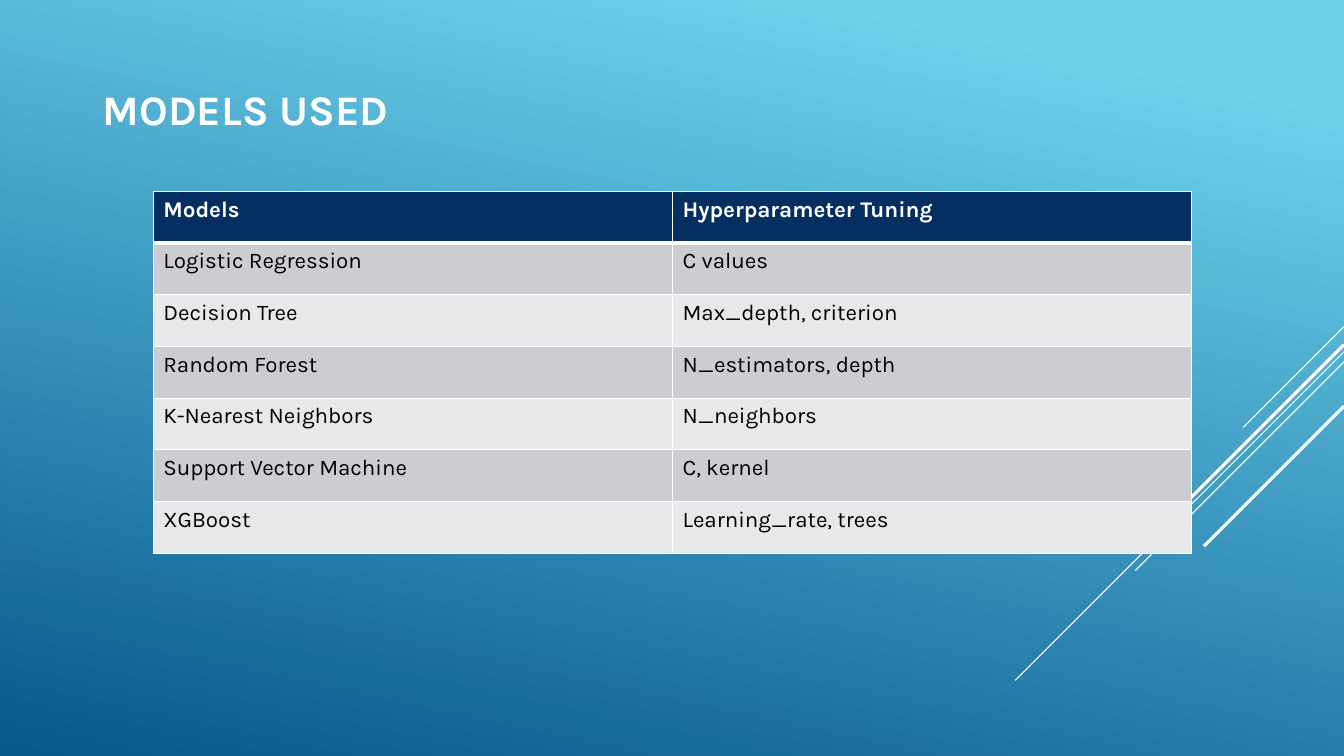
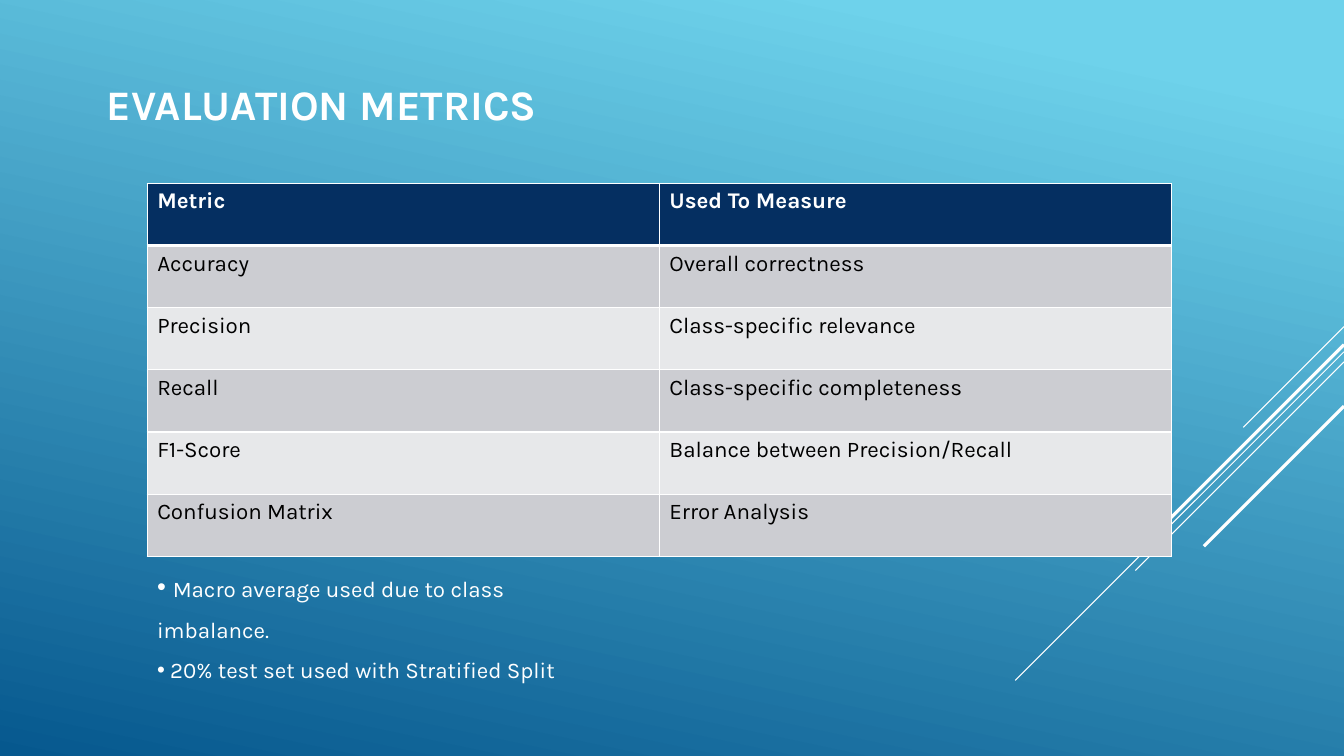
from lxml import etree
from pptx import Presentation
from pptx.dml.color import RGBColor
from pptx.enum import shapes, text
from pptx.oxml import ns
from pptx.util import Inches, Pt

FONT = "Karla"
WHITE, BLACK = "FFFFFF", "000000"
SKY, OCEAN, NAVY = "6ED2EB", "06588E", "052F61"
ROW_FILLS = ("CCCDD2", "E7E8EA")
TITLE = {"name": FONT, "size": Pt(30), "bold": True, "color": WHITE}
HEADER = {"name": FONT, "size": Pt(16), "bold": True, "color": WHITE}
BODY = {"name": FONT, "size": Pt(16), "bold": False, "color": BLACK}
NOTE = {**BODY, "color": WHITE}
NOTE_LEAD = {**NOTE, "name": "Arial", "size": Pt(18)}

SLIDE_WIDTH = 13.33
# Diagonal rays from the right edge: start height, run to the lower left, width in points
RAYS = [(3.24, 1.0, 0.75), (3.49, 3.26, 0.75), (3.59, 2.07, 0.75),
        (3.42, 1.91, 2.25), (4.03, 1.39, 2.25)]

MODELS = [("Models", "Hyperparameter Tuning"),
          ("Logistic Regression", "C values"),
          ("Decision Tree", "Max_depth, criterion"),
          ("Random Forest", "N_estimators, depth"),
          ("K-Nearest Neighbors", "N_neighbors"),
          ("Support Vector Machine", "C, kernel"),
          ("XGBoost", "Learning_rate, trees")]
METRICS = [("Metric", "Used To Measure"),
           ("Accuracy", "Overall correctness"),
           ("Precision", "Class-specific relevance"),
           ("Recall", "Class-specific completeness"),
           ("F1-Score", "Balance between Precision/Recall"),
           ("Confusion Matrix", "Error Analysis")]
NOTES = [[(" ", NOTE_LEAD), ("Macro average used due to class imbalance.", NOTE)],
         [(" 20% test set used with Stratified Split", NOTE)]]


def rgb(value):
    return RGBColor.from_string(value)


def child(parent, tag, **attributes):
    return etree.SubElement(parent, ns.qn(tag), attributes)


def add_run(paragraph, words, style):
    run = paragraph.add_run()
    run.text = words
    for key, value in style.items():
        if key == "color":
            run.font.color.rgb = rgb(value)
        else:
            setattr(run.font, key, value)


def paint_background(master):
    fill = master.background.fill
    fill.gradient()
    fill.gradient_angle = 258
    for stop, position, color in zip(fill.gradient_stops, (0.1, 1), (SKY, OCEAN)):
        stop.position = position
        stop.color.rgb = rgb(color)


def add_rays(slide):
    for top, run, width in RAYS:
        ray = slide.shapes.add_connector(
            shapes.MSO_CONNECTOR.STRAIGHT, Inches(SLIDE_WIDTH), Inches(top),
            Inches(SLIDE_WIDTH - run), Inches(top + run))
        ray.line.color.rgb = rgb(WHITE)
        ray.line.width = Pt(width)
        child(ray._element.spPr, "a:effectLst")


def add_text_frame(slide, box):
    frame = slide.shapes.add_textbox(*map(Inches, box)).text_frame
    frame.word_wrap = True
    frame.vertical_anchor = text.MSO_ANCHOR.MIDDLE
    return frame


def add_titled_slide(deck, title, box):
    slide = deck.slides.add_slide(deck.slide_layouts[6])
    add_rays(slide)
    add_run(add_text_frame(slide, box).paragraphs[0], title, TITLE)
    return slide


def set_borders(cell, **widths):
    """Draw white cell borders; widths in points are keyed by side L, R, T, B."""
    properties = cell._tc.get_or_add_tcPr()
    for side, width in widths.items():
        border = child(properties, f"a:ln{side}", w=str(Pt(width)))
        child(child(border, "a:solidFill"), "a:srgbClr", val=WHITE)


def add_grid(slide, rows, box):
    grid = slide.shapes.add_table(len(rows), len(rows[0]), *map(Inches, box)).table
    for r, row in enumerate(rows):
        for c, words in enumerate(row):
            cell = grid.cell(r, c)
            # The rule under the header is heavier than the others
            set_borders(cell, L=1, R=1, T=3 if r == 1 else 1, B=3 if r == 0 else 1)
            cell.fill.solid()
            cell.fill.fore_color.rgb = rgb(ROW_FILLS[(r - 1) % 2] if r else NAVY)
            add_run(cell.text_frame.paragraphs[0], words, BODY if r else HEADER)


def add_bullets(slide, items, box):
    frame = add_text_frame(slide, box)
    for i, runs in enumerate(items):
        paragraph = frame.add_paragraph() if i else frame.paragraphs[0]
        paragraph.line_spacing = 1.5
        properties = paragraph._p.get_or_add_pPr()
        child(properties, "a:buFont", typeface="Arial")
        child(properties, "a:buChar", char="•")
        for words, style in runs:
            add_run(paragraph, words, style)


def main():
    deck = Presentation()
    deck.slide_width, deck.slide_height = Inches(SLIDE_WIDTH), Inches(7.5)
    paint_background(deck.slide_master)

    models = add_titled_slide(deck, "MODELS USED", (0.92, 0.53, 11.5, 1.09))
    add_grid(models, MODELS, (1.52, 1.9, 10.3, 3.59))

    metrics = add_titled_slide(deck, "EVALUATION METRICS", (0.96, 0.51, 9.33, 1.03))
    add_grid(metrics, METRICS, (1.46, 1.82, 10.16, 3.7))
    add_bullets(metrics, NOTES, (1.46, 5.5, 4.63, 1.3))

    deck.save("out.pptx")


if __name__ == "__main__":
    main()
